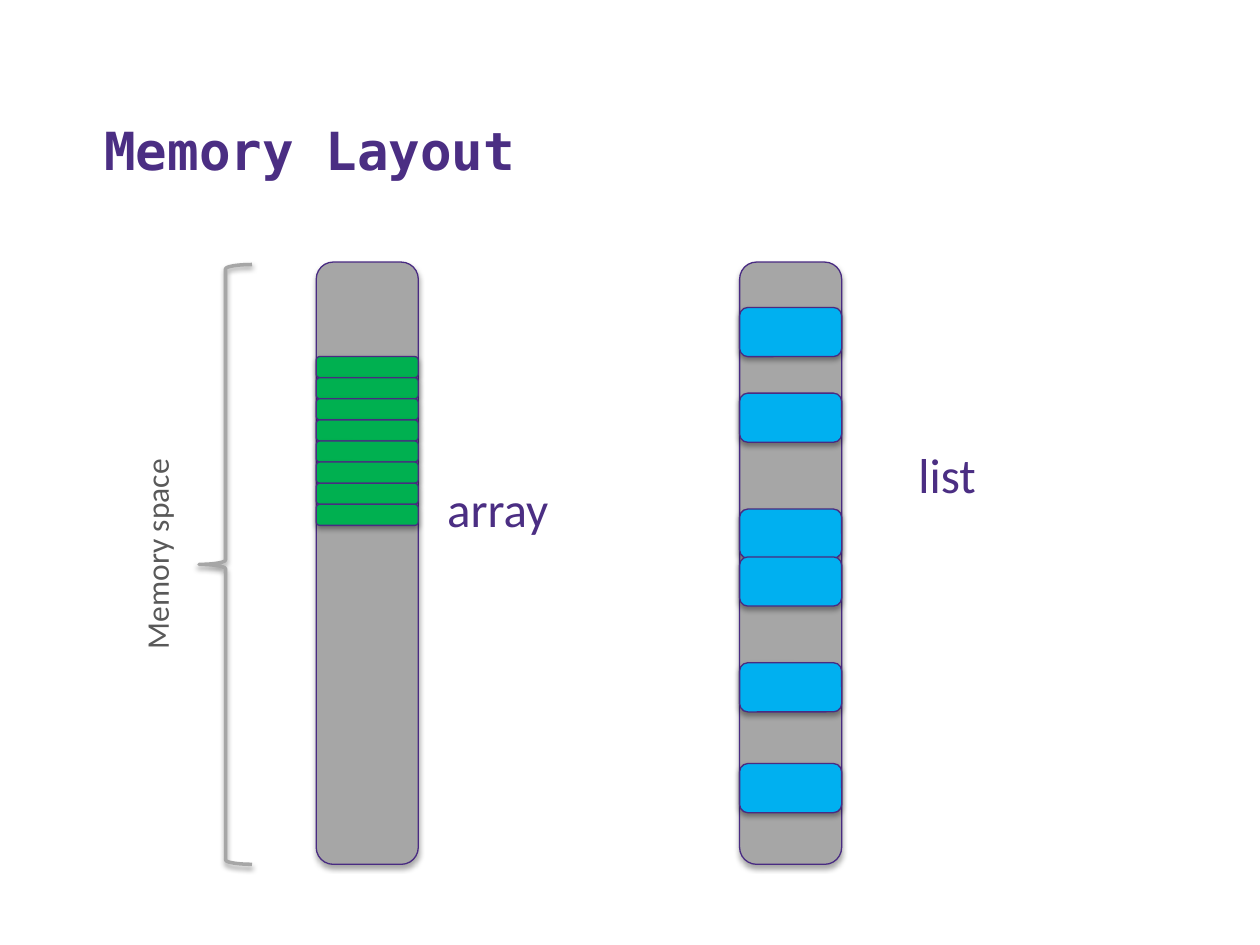
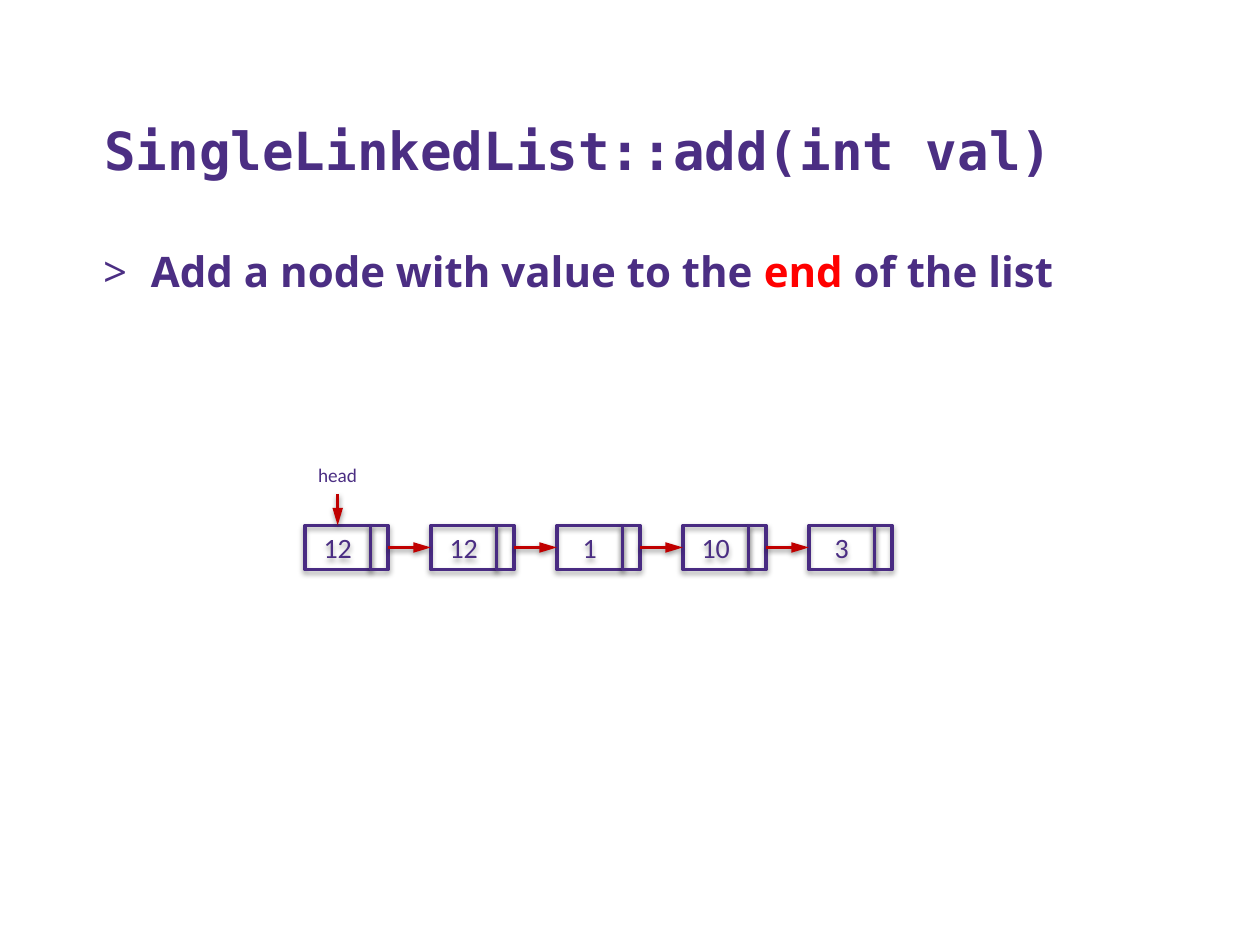
from lxml.etree import SubElement
from pptx import Presentation
from pptx.dml.color import RGBColor
from pptx.enum.shapes import MSO_CONNECTOR, MSO_SHAPE
from pptx.enum.text import MSO_ANCHOR, PP_ALIGN
from pptx.oxml.ns import qn
from pptx.util import Inches, Pt

PURPLE = "4B2E83"
OUTLINE = "492B82"
GRAY = "A6A6A6"
DARK_GRAY = "595959"
GREEN = "00B050"
BLUE = "00B0F0"
RED = "FF0000"
ARROW = "C00000"

BODY_FONT = "Calibri"
TITLE_FONT = "DejaVu Sans Mono"
BULLET_FONT = "Open Sans"

COLUMN_TOP, COLUMN_W, COLUMN_H = 2.08, 0.81, 4.78
ARRAY_X, LIST_X = 2.51, 5.87
NODE_X, NODE_Y, NODE_STEP = 2.42, 4.17, 1.0
VALUE_W, POINTER_W, NODE_H = 0.52, 0.14, 0.35


def color(value):
    return RGBColor.from_string(value)


def write(s, runs, size, font=BODY_FONT, bold=False, align=PP_ALIGN.LEFT,
          anchor=MSO_ANCHOR.TOP, wrap=True, bullet=None):
    tf = s.text_frame
    tf.word_wrap = wrap
    tf.vertical_anchor = anchor
    p = tf.paragraphs[0]
    p.alignment = align
    if bullet:
        pPr = p._p.get_or_add_pPr()
        pPr.set("marL", str(Inches(0.38)))
        pPr.set("indent", str(Inches(-0.38)))
        SubElement(pPr, qn("a:buFont")).set("typeface", font)
        SubElement(pPr, qn("a:buChar")).set("char", bullet)
    for text, text_color in runs:
        r = p.add_run()
        r.text = text
        r.font.size = Pt(size)
        r.font.name = font
        r.font.bold = bold
        r.font.color.rgb = color(text_color)


def add_text(slide, box, text, size, fill=PURPLE, rotation=0, **style):
    s = slide.shapes.add_textbox(*map(Inches, box))
    s.rotation = rotation
    runs = [(text, fill)] if isinstance(text, str) else text
    write(s, runs, size, **style)
    return s


def add_shadow(s, distance, opacity):
    effects = SubElement(s._element.spPr, qn("a:effectLst"))
    shadow = SubElement(effects, qn("a:outerShdw"), blurRad=str(Pt(3.1)),
                        dist=str(Pt(distance)), dir="5400000", rotWithShape="0")
    black = SubElement(shadow, qn("a:srgbClr"), val="000000")
    SubElement(black, qn("a:alpha"), val=str(opacity * 1000))


def add_shape(slide, kind, box, fill=None, line=OUTLINE, width=0.75,
              distance=1.8, opacity=35):
    s = slide.shapes.add_shape(kind, *map(Inches, box))
    if fill:
        s.fill.solid()
        s.fill.fore_color.rgb = color(fill)
    else:
        s.fill.background()
    s.line.color.rgb = color(line)
    s.line.width = Pt(width)
    add_shadow(s, distance, opacity)
    return s


def add_block(slide, x, y, height, fill):
    add_shape(slide, MSO_SHAPE.ROUNDED_RECTANGLE, (x, y, COLUMN_W, height), fill)


def add_node(slide, x, value):
    box = add_shape(slide, MSO_SHAPE.RECTANGLE, (x, NODE_Y, VALUE_W, NODE_H), width=2)
    write(box, [(value, PURPLE)], 16, align=PP_ALIGN.CENTER, anchor=MSO_ANCHOR.MIDDLE)
    pointer = add_shape(slide, MSO_SHAPE.RECTANGLE,
                        (x + VALUE_W, NODE_Y, POINTER_W, NODE_H), width=2)
    return box, pointer


def add_arrow(slide, start, start_side, end, end_side):
    s = slide.shapes.add_connector(MSO_CONNECTOR.STRAIGHT, 0, 0, 0, 0)
    s.begin_connect(start, start_side)
    s.end_connect(end, end_side)
    s.line.color.rgb = color(ARROW)
    s.line.width = Pt(2)
    SubElement(s._element.spPr.find(qn("a:ln")), qn("a:tailEnd"),
               type="triangle", w="med", len="lg")
    add_shadow(s, 1.6, 38)


def add_slide(prs, title):
    slide = prs.slides.add_slide(prs.slide_layouts[6])
    add_text(slide, (0.73, 0.41, 8.95, 1.08), title, 30, font=TITLE_FONT,
             bold=True, anchor=MSO_ANCHOR.BOTTOM)
    return slide


def build_memory_layout(prs):
    slide = add_slide(prs, "Memory Layout")
    add_text(slide, (3.45, 3.75, 1.01, 0.57), "array", 28, wrap=False)
    add_text(slide, (7.19, 3.48, 0.66, 0.57), "list", 28, wrap=False)
    for x in (ARRAY_X, LIST_X):
        add_block(slide, x, COLUMN_TOP, COLUMN_H, GRAY)
    cell_h = 1.34 / 8
    for i in range(8):
        add_block(slide, ARRAY_X, 2.83 + i * cell_h, cell_h, GREEN)
    for y in (2.44, 3.12, 4.04, 4.42, 5.26, 6.06):
        add_block(slide, LIST_X, y, 0.39, BLUE)
    add_shape(slide, MSO_SHAPE.LEFT_BRACE, (1.58, 2.1, 0.42, 4.76), line=GRAY,
              width=2, distance=1.6, opacity=38)
    add_text(slide, (0.38, 4.19, 1.72, 0.4), "Memory space", 18, DARK_GRAY,
             rotation=270)


def build_linked_list(prs):
    slide = add_slide(prs, "SingleLinkedList::add(int val)")
    runs = [("Add a node with value to the ", PURPLE), ("end", RED),
            (" of the list", PURPLE)]
    add_text(slide, (0.72, 1.9, 8.96, 0.89), runs, 24, font=BULLET_FONT,
             bold=True, bullet=">")
    nodes = [add_node(slide, NODE_X + i * NODE_STEP, value)
             for i, value in enumerate(("12", "12", "1", "10", "3"))]
    for (_, pointer), (box, _) in zip(nodes, nodes[1:]):
        add_arrow(slide, pointer, 3, box, 1)
    head = add_text(slide, (2.35, 3.63, 0.66, 0.29), "head", 11,
                    align=PP_ALIGN.CENTER)
    add_arrow(slide, head, 2, nodes[0][0], 0)


def main():
    prs = Presentation()
    prs.slide_width = Inches(10)
    prs.slide_height = Inches(7.5)
    build_memory_layout(prs)
    build_linked_list(prs)
    prs.save("out.pptx")


if __name__ == "__main__":
    main()
